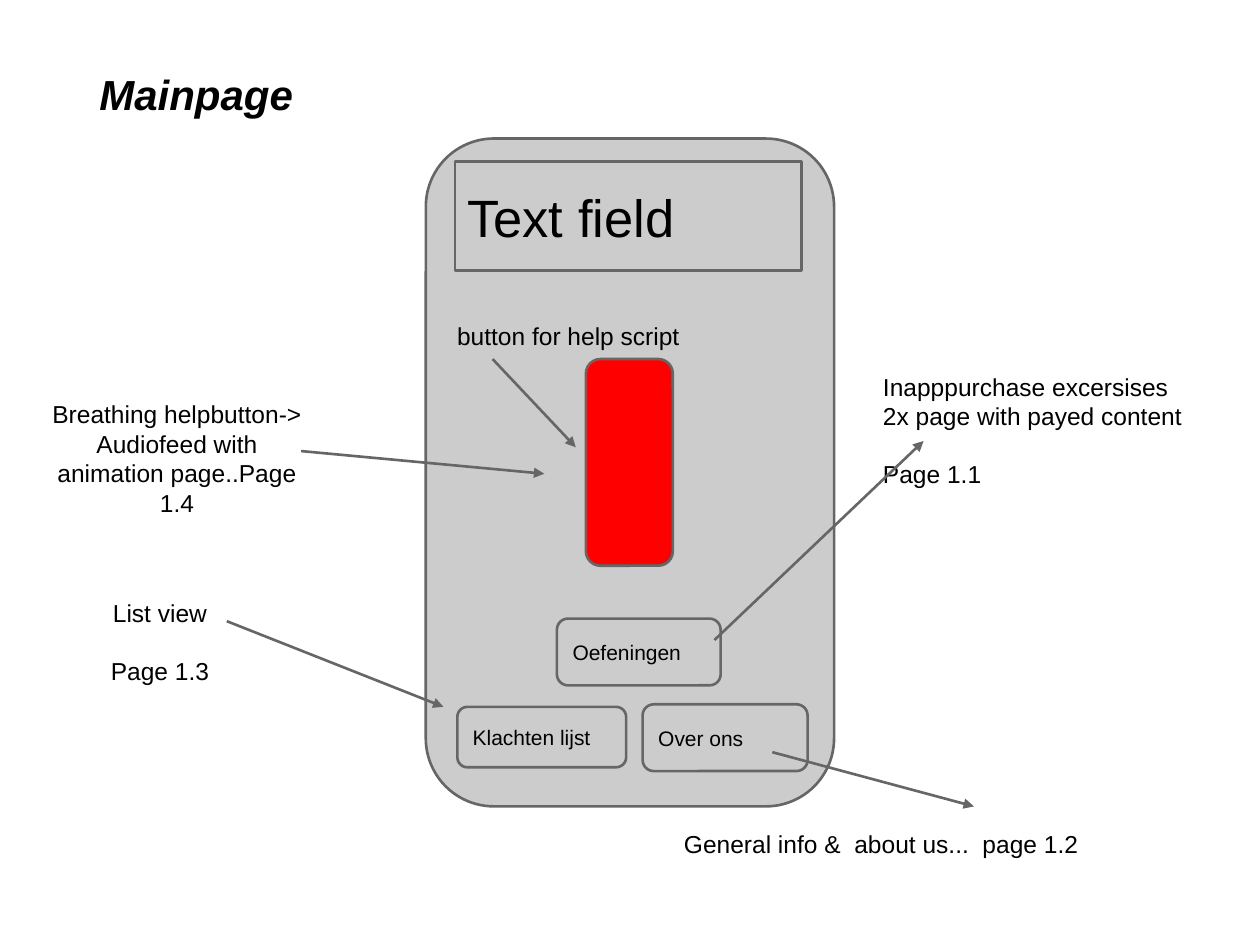
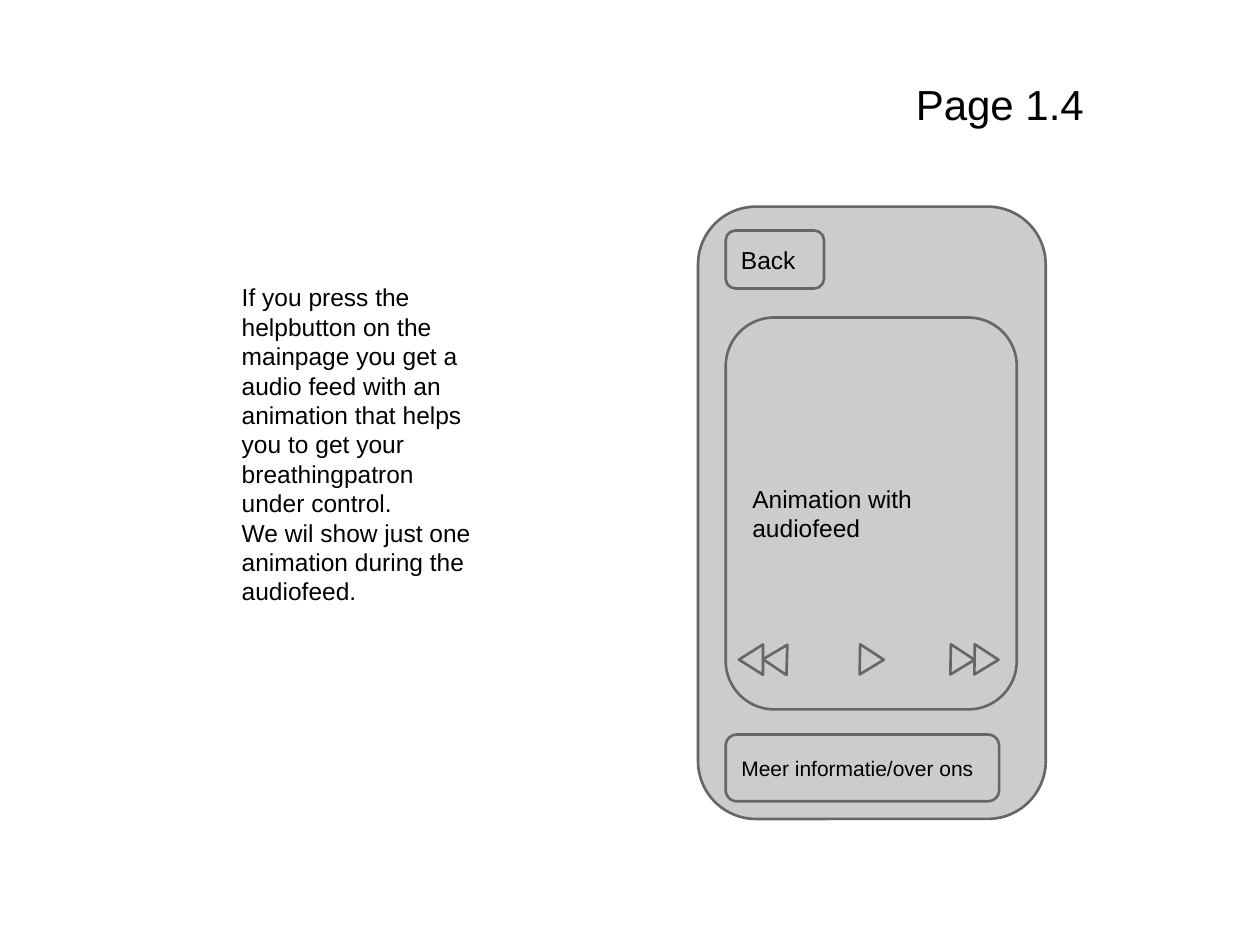
from dataclasses import dataclass

from lxml.etree import SubElement
from pptx import Presentation
from pptx.dml.color import RGBColor
from pptx.enum.shapes import MSO_CONNECTOR, MSO_SHAPE
from pptx.enum.text import MSO_ANCHOR, PP_ALIGN
from pptx.oxml.ns import qn
from pptx.util import Inches, Pt

BLACK = RGBColor(0x00, 0x00, 0x00)
PANEL_GRAY = RGBColor(0xCC, 0xCC, 0xCC)
OUTLINE_GRAY = RGBColor(0x66, 0x66, 0x66)
HELP_RED = RGBColor(0xFF, 0x00, 0x00)
FONT = "Arial"
TITLE_SIZE, NOTE_SIZE, BUTTON_SIZE, FIELD_SIZE = 24, 14, 12, 30
OUTLINE_WIDTH = Pt(1.5)
BLANK_LINE = 1.15


@dataclass
class Box:
    left: float
    top: float
    width: float
    height: float

    def inner(self, left, top, width, height):
        return Box(self.left + left, self.top + top, width, height)

    def lengths(self):
        return [Inches(value) for value in (self.left, self.top, self.width, self.height)]


def write_text(shape, lines, size, anchor, align=PP_ALIGN.LEFT, emphasis=False, last_apart=False):
    frame = shape.text_frame
    frame.word_wrap = True
    frame.vertical_anchor = anchor
    frame.margin_left = frame.margin_right = Inches(0.1)
    frame.margin_top = frame.margin_bottom = Inches(0.1)
    for index, line in enumerate(lines):
        paragraph = frame.add_paragraph() if index else frame.paragraphs[0]
        paragraph.alignment = align
        run = paragraph.add_run()
        run.text = line
        run.font.name = FONT
        run.font.size = Pt(size)
        run.font.color.rgb = BLACK
        if emphasis:
            run.font.bold = run.font.italic = True
    if last_apart:
        paragraph.space_before = Pt(size * BLANK_LINE)


def add_panel(slide, box, label=None, size=BUTTON_SIZE, kind=MSO_SHAPE.ROUNDED_RECTANGLE, fill=PANEL_GRAY):
    shape = slide.shapes.add_shape(kind, *box.lengths())
    shape.shadow.inherit = False
    shape.fill.solid()
    shape.fill.fore_color.rgb = fill
    shape.line.color.rgb = OUTLINE_GRAY
    shape.line.width = OUTLINE_WIDTH
    if label:
        write_text(shape, [label], size, MSO_ANCHOR.MIDDLE)
    return shape


def add_note(slide, box, *lines, size=NOTE_SIZE, anchor=MSO_ANCHOR.TOP, **style):
    write_text(slide.shapes.add_textbox(*box.lengths()), lines, size, anchor, **style)


def add_arrow(slide, start, end):
    points = [Inches(value) for value in (*start, *end)]
    arrow = slide.shapes.add_connector(MSO_CONNECTOR.STRAIGHT, *points)
    arrow.line.color.rgb = OUTLINE_GRAY
    arrow.line.width = OUTLINE_WIDTH
    SubElement(arrow.line._get_or_add_ln(), qn("a:tailEnd"), type="triangle")
    SubElement(arrow._element.spPr, qn("a:effectLst"))


def add_main_phone(slide, box):
    add_panel(slide, box)
    add_panel(slide, box.inner(0.25, 4.51, 1.34, 0.48), "Klachten lijst")
    add_panel(slide, box.inner(1.04, 3.81, 1.3, 0.53), "Oefeningen")
    add_panel(slide, box.inner(1.72, 4.49, 1.31, 0.53), "Over ons")
    add_panel(slide, box.inner(1.27, 1.75, 0.69, 1.64), fill=HELP_RED)
    add_panel(slide, box.inner(0.23, 0.18, 2.75, 0.87), "Text field", FIELD_SIZE, MSO_SHAPE.RECTANGLE)
    add_note(slide, box.inner(0.15, 1.35, 2.33, 0.41), "button for help script")


def add_main_annotations(slide):
    add_note(slide, Box(0.3, 3.07, 2.21, 1.24),
             "Breathing helpbutton-> Audiofeed with animation page..Page 1.4", align=PP_ALIGN.CENTER)
    add_note(slide, Box(0.15, 4.65, 2.24, 0.9), "List view", "Page 1.3",
             align=PP_ALIGN.CENTER, last_apart=True)
    add_note(slide, Box(6.91, 2.85, 2.83, 1.14), "Inapppurchase excersises",
             "2x page with payed content", "Page 1.1", last_apart=True)
    add_note(slide, Box(5.33, 6.48, 4, 0.5), "General info &  about us...  page 1.2")
    for start, end in (
        ((3.91, 2.85), (4.57, 3.55)),
        ((1.8, 4.93), (3.52, 5.61)),
        ((5.67, 5.08), (7.33, 3.5)),
        ((6.13, 5.97), (7.73, 6.4)),
        ((2.39, 3.58), (4.32, 3.76)),
    ):
        add_arrow(slide, start, end)


def add_player_controls(slide, screen):
    for left, rotation in ((0.08, 270), (0.27, 271.7), (1.04, 91), (1.76, 91), (1.95, 91)):
        triangle = add_panel(slide, screen.inner(left, 2.62, 0.24, 0.19), kind=MSO_SHAPE.FLOWCHART_EXTRACT)
        triangle.rotation = rotation


def add_player_phone(slide, box):
    add_panel(slide, box)
    add_panel(slide, box.inner(0.22, 0.19, 0.78, 0.46), "Back", NOTE_SIZE)
    screen = box.inner(0.22, 0.88, 2.31, 3.11)
    add_panel(slide, screen, "Animation with audiofeed", NOTE_SIZE)
    add_player_controls(slide, screen)
    add_panel(slide, box.inner(0.22, 4.19, 2.17, 0.53), "Meer informatie/over ons")


def build_main_page(slide):
    add_note(slide, Box(0.69, 0.44, 8.01, 0.75), "Mainpage", size=TITLE_SIZE, emphasis=True)
    add_main_phone(slide, Box(3.38, 1.1, 3.24, 5.3))
    add_main_annotations(slide)


def build_player_page(slide):
    add_note(slide, Box(7.17, 0, 1.84, 1.64), "Page 1.4", size=TITLE_SIZE, anchor=MSO_ANCHOR.MIDDLE)
    add_player_phone(slide, Box(5.54, 1.64, 2.76, 4.86))
    add_note(slide, Box(1.82, 2.14, 2.08, 2.88),
             "If you press the helpbutton on the mainpage you get a audio feed with an animation "
             "that helps you to get your breathingpatron under control.",
             "We wil show just one animation during the audiofeed.")


def main():
    presentation = Presentation()
    presentation.slide_width = Inches(10)
    presentation.slide_height = Inches(7.5)
    for build_page in (build_main_page, build_player_page):
        build_page(presentation.slides.add_slide(presentation.slide_layouts[6]))
    presentation.save("out.pptx")


if __name__ == "__main__":
    main()
